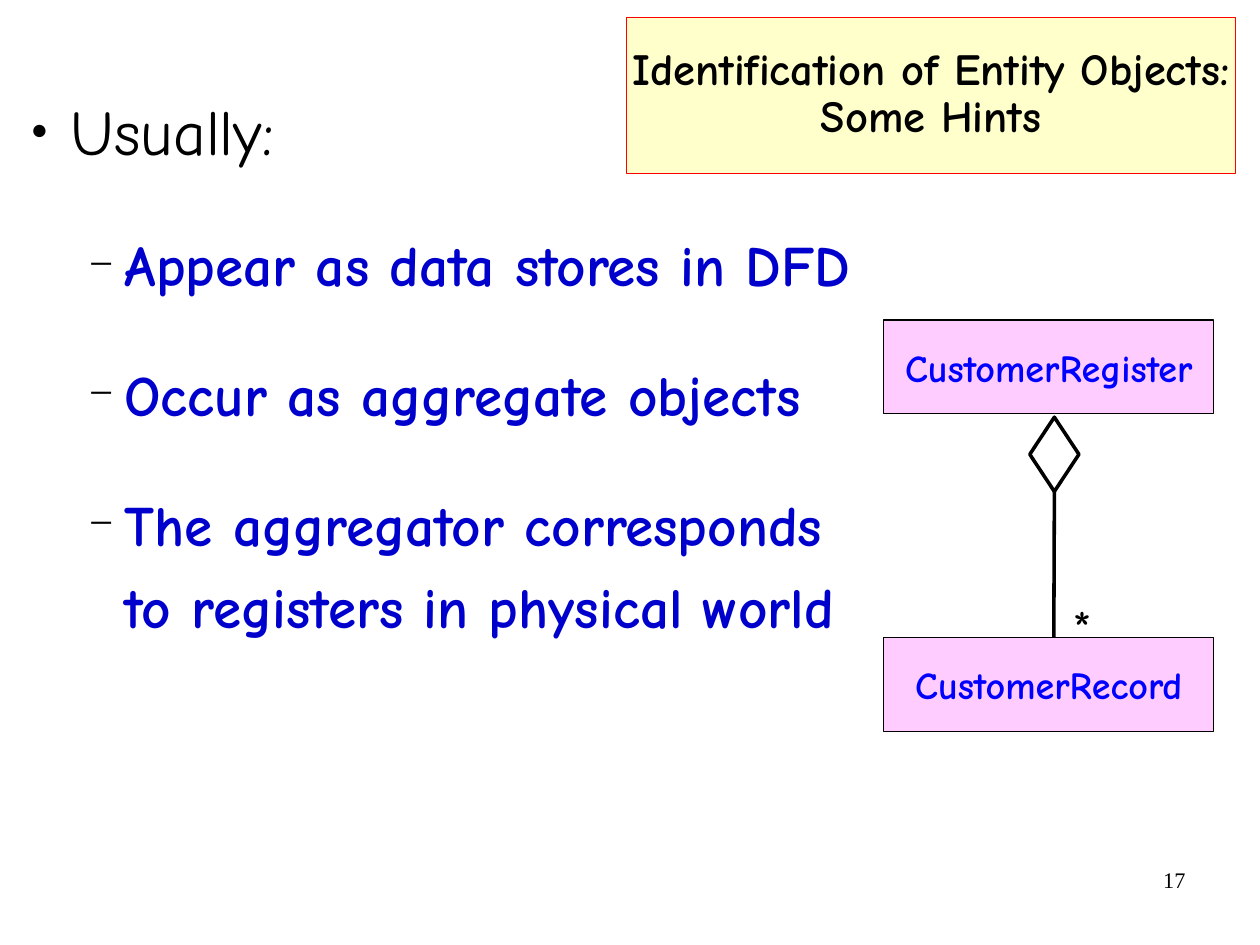
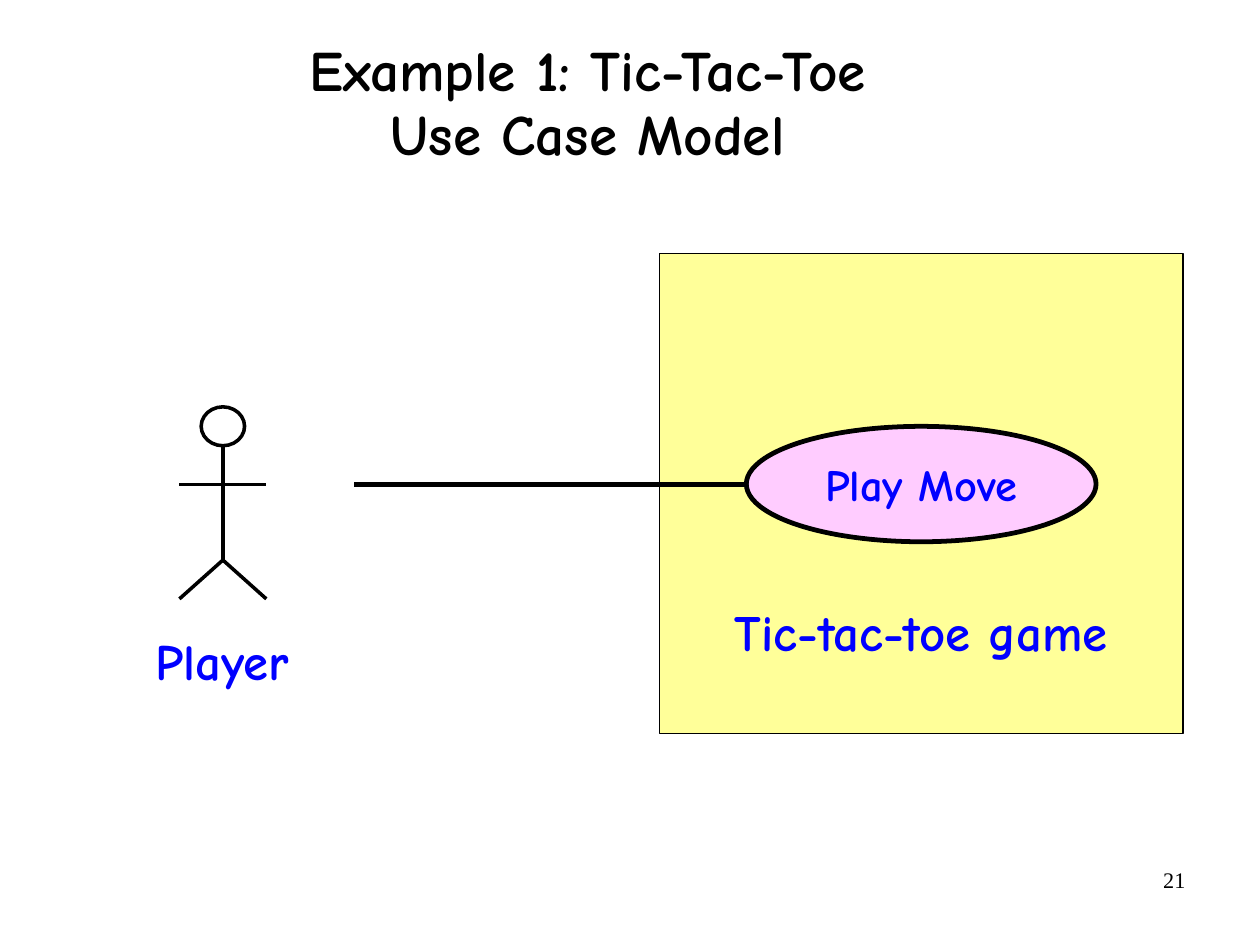
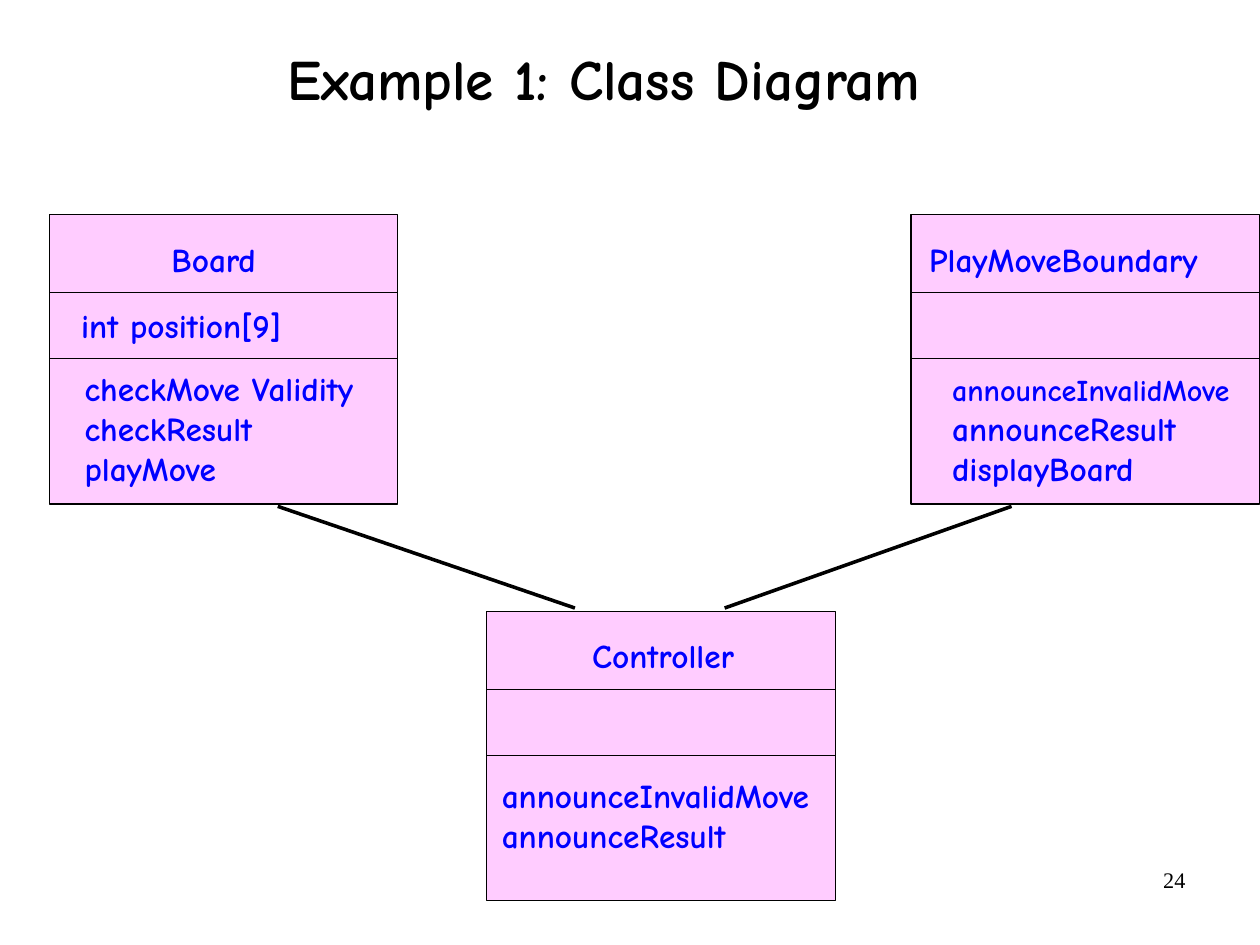
"""Build three lecture slides on entity objects and a tic-tac-toe design."""
from lxml import etree
from pptx import Presentation
from pptx.dml.color import RGBColor
from pptx.enum.shapes import MSO_CONNECTOR, MSO_SHAPE
from pptx.enum.text import MSO_ANCHOR, PP_ALIGN
from pptx.oxml.ns import qn
from pptx.util import Inches, Pt

LEFT, CENTER, RIGHT = PP_ALIGN.LEFT, PP_ALIGN.CENTER, PP_ALIGN.RIGHT
TOP, MIDDLE, BOTTOM = MSO_ANCHOR.TOP, MSO_ANCHOR.MIDDLE, MSO_ANCHOR.BOTTOM
RECT, OVAL, DIAMOND = MSO_SHAPE.RECTANGLE, MSO_SHAPE.OVAL, MSO_SHAPE.DIAMOND
STRAIGHT = MSO_CONNECTOR.STRAIGHT

FONT, SERIF = "Comic Neue", "Times New Roman"
BLACK, BLUE, NAVY, RED = "000000", "0000FF", "0000CC", "FF0000"
PINK, CREAM, YELLOW = "FFCCFF", "FFFFCC", "FFFF99"
THIN, MEDIUM, THICK = 0.75, 2.25, 3
CM_PER_INCH = 2.54
CLASS_W, CLASS_H = 3.05, 2.53


def color(hex_string):
    """Turn a hex string into a colour."""
    return RGBColor.from_string(hex_string)


def write(tf, text, size=21, font=FONT, ink=BLUE, bold=True, align=LEFT, anchor=TOP,
          inset=(0, 0, 0, 0), spacing=None, before=0, after=0, more=False):
    """Write one paragraph per line of text and return the paragraphs."""
    tf.word_wrap = True
    tf.vertical_anchor = anchor
    (tf.margin_left, tf.margin_top,
     tf.margin_right, tf.margin_bottom) = [Inches(v) for v in inset]
    paragraphs = []
    for i, line in enumerate(text.split("\n")):
        p = tf.add_paragraph() if more or i else tf.paragraphs[0]
        p.text = line
        p.alignment = align
        p.line_spacing = spacing
        p.space_before, p.space_after = Pt(before), Pt(after)
        for r in p.runs:
            r.font.name, r.font.size, r.font.bold = font, Pt(size), bold
            r.font.color.rgb = color(ink)
        paragraphs.append(p)
    return paragraphs


def add_text(s, x, y, w, h, text, **fmt):
    """Add a text box and return its paragraphs."""
    sp = s.shapes.add_textbox(Inches(x), Inches(y), Inches(w), Inches(h))
    return write(sp.text_frame, text, **fmt)


def add_box(s, kind, x, y, w, h, fill=None, line=BLACK, weight=THIN, text="", **fmt):
    """Add an outlined shape, with centred text if any."""
    sp = s.shapes.add_shape(kind, Inches(x), Inches(y), Inches(w), Inches(h))
    sp.shadow.inherit = False
    if fill:
        sp.fill.solid()
        sp.fill.fore_color.rgb = color(fill)
    else:
        sp.fill.background()
    sp.line.color.rgb = color(line)
    sp.line.width = Pt(weight)
    if text:
        write(sp.text_frame, text, **{"align": CENTER, "anchor": MIDDLE, **fmt})
    return sp


def add_line(s, x1, y1, x2, y2, weight=MEDIUM):
    """Add a straight black line."""
    c = s.shapes.add_connector(STRAIGHT, Inches(x1), Inches(y1), Inches(x2), Inches(y2))
    c.line.color.rgb = color(BLACK)
    c.line.width = Pt(weight)
    etree.SubElement(c._element.spPr, qn("a:effectLst"))
    return c


def add_bullet(p, char, margin, hang, percent, level=0):
    """Give a paragraph a hanging black bullet."""
    p.level = level
    pPr = p._p.get_or_add_pPr()
    pPr.set("marL", str(Inches(margin)))
    pPr.set("indent", str(-Inches(hang)))
    clr = etree.SubElement(pPr, qn("a:buClr"))
    etree.SubElement(clr, qn("a:srgbClr"), val=BLACK)
    etree.SubElement(pPr, qn("a:buSzPct"), val=str(percent * 1000))
    etree.SubElement(pPr, qn("a:buFont"), typeface=SERIF)
    etree.SubElement(pPr, qn("a:buChar"), char=char)


def add_title(s, x, y, w, text):
    """Add a plain slide title."""
    add_text(s, x, y, w, 1.42, text, size=36, ink=BLACK, align=CENTER, anchor=MIDDLE,
             inset=(0.02, 0.06, 0.02, 0.06), spacing=0.94, before=8.1)


def add_slide(prs, number):
    """Add a blank slide with its number."""
    s = prs.slides.add_slide(prs.slide_layouts[6])
    add_text(s, 7.9, 7.53, 2.57, 0.57, str(number), size=14, font=SERIF, ink=BLACK,
             bold=False, align=RIGHT, inset=(0.1, 0.05, 0.1, 0.05))
    return s


def add_actor(s, x, y, name):
    """Add a stick figure centred on x with its name below."""
    add_box(s, OVAL, x - 0.19, y, 0.38, 0.34, weight=MEDIUM)
    add_line(s, x, y + 0.34, x, y + 1.34)
    add_line(s, x - 0.38, y + 0.68, x + 0.38, y + 0.68)
    for foot in (x - 0.38, x + 0.38):
        add_line(s, x, y + 1.34, foot, y + 1.68)
    add_text(s, x - 0.59, y + 1.95, 1.5, 0.52, name, size=32)


def add_class(s, x, y, name, name_dx, operations, operations_dx, operations_dy=1.34,
              attribute=""):
    """Add a class box with three compartments and return operation paragraphs."""
    add_box(s, RECT, x, y, CLASS_W, CLASS_H, fill=PINK)
    for dy in (0.68, 1.26):
        add_line(s, x, y + dy, x + CLASS_W, y + dy, weight=THIN)
    add_text(s, x + name_dx, y + 0.21, CLASS_W - name_dx, 0.35, name)
    if attribute:
        add_text(s, x + 0.28, y + 0.79, 2.7, 0.35, attribute)
    return add_text(s, x + operations_dx, y + operations_dy, CLASS_W - operations_dx, 1.05,
                    operations)


def build_hints(prs):
    """Build the slide with hints on entity objects."""
    s = add_slide(prs, 17)
    add_box(s, RECT, 5.48, 0.15, 5.33, 1.37, fill=CREAM, line=RED, size=28, ink=BLACK,
            spacing=0.88, text="Identification of Entity Objects: Some Hints")
    sp = s.shapes.add_textbox(Inches(0.16), Inches(0.67), Inches(7.57), Inches(5.83))
    gaps = {"spacing": 1.2, "before": 18, "after": 12}
    usually, = write(sp.text_frame, "Usually:", size=40, ink=BLACK, bold=False, **gaps)
    add_bullet(usually, "●", 0.46, 0.35, 45)
    hints = ("Appear as data stores in DFD\nOccur as aggregate objects\n"
             "The aggregator corresponds to registers in physical world")
    for p in write(sp.text_frame, hints, size=36, ink=NAVY, more=True, **gaps):
        add_bullet(p, "−", 0.93, 0.31, 75, level=1)
    for y, name in ((2.8, "CustomerRegister"), (5.58, "CustomerRecord")):
        add_box(s, RECT, 7.73, y, 2.89, 0.82, fill=PINK, text=name, size=24, before=11.2)
    diamond = add_box(s, DIAMOND, 9.01, 3.65, 0.43, 0.65, weight=MEDIUM)
    add_line(s, 9.22, 4.3, 9.22, 5.58).begin_connect(diamond, 2)
    add_text(s, 9.38, 5.22, 0.4, 0.52, "*", size=32, ink=BLACK, bold=False)


def build_use_case(prs):
    """Build the use case slide."""
    s = add_slide(prs, 21)
    add_title(s, -0.32, 0.2, 10.92, "Example 1: Tic-Tac-Toe\vUse Case Model")
    add_box(s, RECT, 5.77, 2.22, 4.58, 4.2, fill=YELLOW, text="Tic-tac-toe game", size=32,
            anchor=BOTTOM, inset=(0, 0, 0, 0.63))
    add_box(s, OVAL, 6.53, 3.73, 3.06, 1.01, fill=PINK, weight=THICK, text="Play Move",
            size=28)
    add_actor(s, 1.95, 3.56, "Player")
    add_line(s, 3.1, 4.24, 6.53, 4.24, weight=THICK)


def build_classes(prs):
    """Build the class diagram slide."""
    s = add_slide(prs, 24)
    add_title(s, 0.6, 0, 9.37, "Example 1: Class Diagram")
    add_class(s, 0.43, 1.88, "Board", 1.07, "checkMove Validity\ncheckResult\nplayMove",
              0.31, attribute="int position[9]")
    add_class(s, 4.26, 5.35, "Controller", 0.92, "announceInvalidMove\nannounceResult",
              0.13, operations_dy=1.43)
    announce, *_ = add_class(s, 7.97, 1.88, "PlayMoveBoundary", 0.16,
                             "announceInvalidMove\nannounceResult\ndisplayBoard", 0.36,
                             operations_dy=1.37)
    announce.runs[0].font.size = Pt(19)
    for x1, x2 in ((2.43, 5.03), (8.85, 6.34)):
        add_line(s, x1, 4.43, x2, 5.32)


def main():
    """Build and save the presentation."""
    prs = Presentation()
    prs.slide_width, prs.slide_height = Inches(28 / CM_PER_INCH), Inches(21 / CM_PER_INCH)
    build_hints(prs)
    build_use_case(prs)
    build_classes(prs)
    prs.save("out.pptx")


if __name__ == "__main__":
    main()
